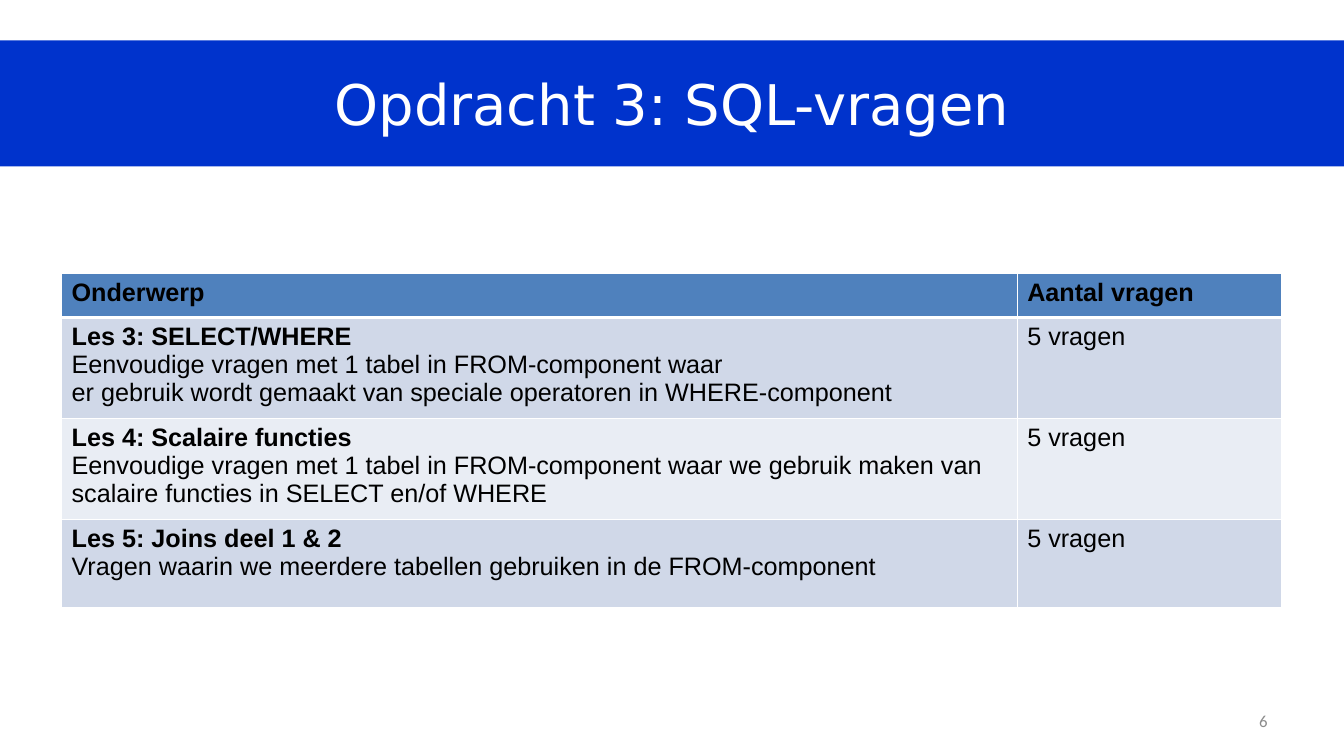
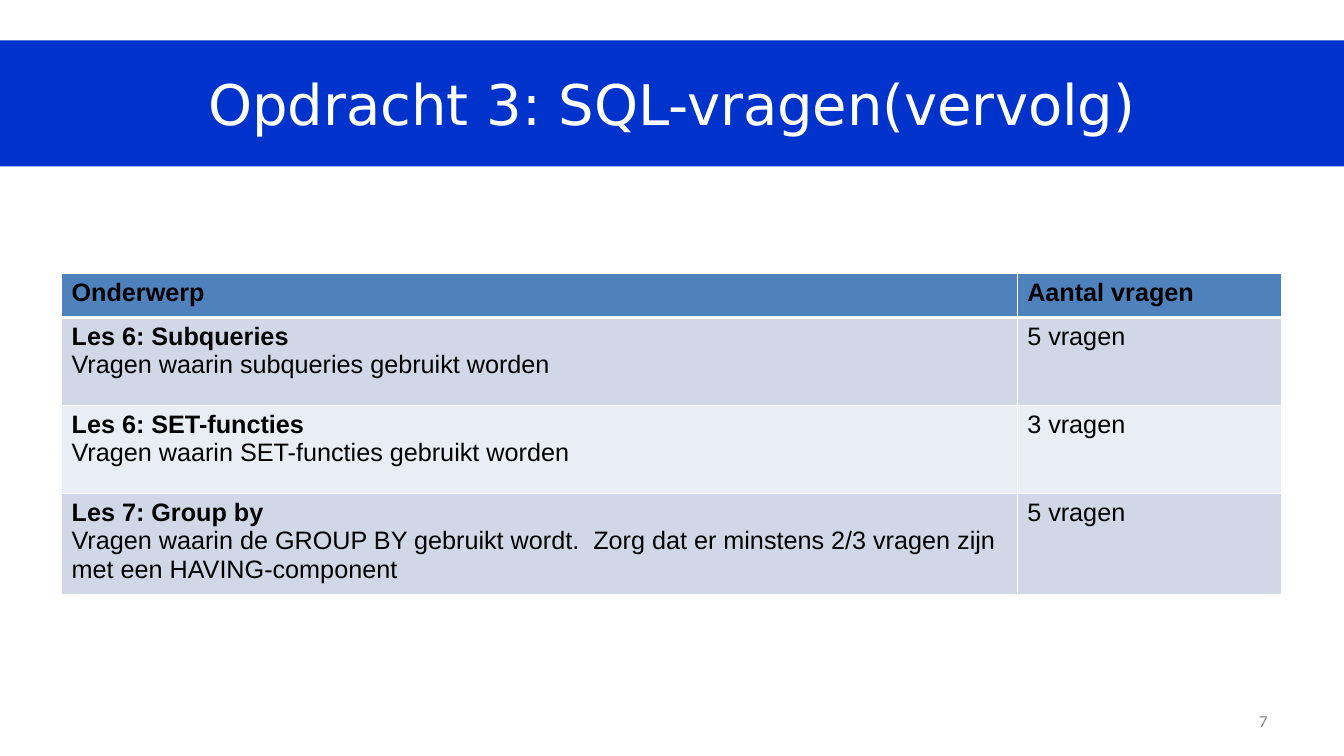
"""Build two slides that list the SQL questions of assignment 3."""
from dataclasses import dataclass

from lxml.etree import SubElement
from pptx import Presentation
from pptx.dml.color import RGBColor
from pptx.enum.text import MSO_ANCHOR, PP_ALIGN
from pptx.oxml.ns import qn
from pptx.presentation import Presentation as Deck
from pptx.slide import Slide
from pptx.table import _Cell
from pptx.text.text import _Paragraph
from pptx.util import Pt

BLUE = RGBColor(0x00, 0x33, 0xCC)
WHITE = RGBColor(0xFF, 0xFF, 0xFF)
BLACK = RGBColor(0x00, 0x00, 0x00)
GREY = RGBColor(0x8C, 0x8C, 0x8C)
HEADER = RGBColor(0x4F, 0x81, 0xBD)
BANDS = (RGBColor(0xD0, 0xD8, 0xE8), RGBColor(0xE9, 0xED, 0xF4))

WIDTH, HEIGHT = 960, 540
COLUMNS = (682.6, 189.2)
HEADER_HEIGHT, ROW_HEIGHT = 31.5, 62.9
THIN, THICK = 1, 3
HEADINGS = ("Onderwerp", "Aantal vragen")


@dataclass(frozen=True)
class Lesson:
    heading: str
    lines: tuple[str, ...]
    count: str


@dataclass(frozen=True)
class Page:
    number: int
    title: str
    lessons: tuple[Lesson, ...]


PAGES = (
    Page(6, "Opdracht 3: SQL-vragen", (
        Lesson("Les 3: SELECT/WHERE",
               ("Eenvoudige vragen met 1 tabel in FROM-component waar",
                "er gebruik wordt gemaakt van speciale operatoren in WHERE-component"),
               "5 vragen"),
        Lesson("Les 4: Scalaire functies",
               ("Eenvoudige vragen met 1 tabel in FROM-component waar we gebruik maken van "
                "scalaire functies in SELECT en/of WHERE",),
               "5 vragen"),
        Lesson("Les 5: Joins deel 1 & 2",
               ("Vragen waarin we meerdere tabellen gebruiken in de FROM-component",),
               "5 vragen"),
    )),
    Page(7, "Opdracht 3: SQL-vragen(vervolg)", (
        Lesson("Les 6: Subqueries", ("Vragen waarin subqueries gebruikt worden",), "5 vragen"),
        Lesson("Les 6: SET-functies", ("Vragen waarin SET-functies gebruikt worden",), "3 vragen"),
        Lesson("Les 7: Group by",
               ("Vragen waarin de GROUP BY gebruikt wordt.  Zorg dat er minstens 2/3 vragen zijn "
                "met een HAVING-component",),
               "5 vragen"),
    )),
)


def set_font(p: _Paragraph, name: str, size: float, color: RGBColor) -> None:
    """Set the font that all runs of a paragraph share."""
    p.font.name = name
    p.font.size = Pt(size)
    p.font.color.rgb = color


def add_title(s: Slide, text: str) -> None:
    """Turn the title placeholder into the full-width blue band."""
    sp = s.shapes.title
    sp.left, sp.top, sp.width, sp.height = Pt(0), Pt(28.8), Pt(WIDTH), Pt(90)
    sp.fill.solid()
    sp.fill.fore_color.rgb = BLUE
    tf = sp.text_frame
    tf.text = text
    tf.vertical_anchor = MSO_ANCHOR.MIDDLE
    p = tf.paragraphs[0]
    p.alignment = PP_ALIGN.CENTER
    set_font(p, "DejaVu Sans", 40, WHITE)


def add_number(s: Slide, number: int) -> None:
    """Put the slide number at the lower right."""
    tf = s.shapes.add_textbox(Pt(688.5), Pt(500.5), Pt(224), Pt(28.8)).text_frame
    tf.word_wrap = True
    tf.vertical_anchor = MSO_ANCHOR.MIDDLE
    p = tf.paragraphs[0]
    p.text = str(number)
    p.alignment = PP_ALIGN.RIGHT
    set_font(p, "Calibri", 12, GREY)


def style_cell(cell: _Cell, fill: RGBColor, top: float, bottom: float) -> None:
    """Give a cell its white borders, fill and font."""
    tc_pr = cell._tc.get_or_add_tcPr()
    for tag, width in (("a:lnL", THIN), ("a:lnR", THIN), ("a:lnT", top), ("a:lnB", bottom)):
        line = SubElement(tc_pr, qn(tag), w=str(Pt(width)))
        SubElement(SubElement(line, qn("a:solidFill")), qn("a:srgbClr"), val=str(WHITE))
    cell.fill.solid()
    cell.fill.fore_color.rgb = fill
    set_font(cell.text_frame.paragraphs[0], "Arial", 18, BLACK)


def fill_lesson(p: _Paragraph, lesson: Lesson) -> None:
    """Write a bold heading with its description on the lines below."""
    r = p.add_run()
    r.text = lesson.heading
    r.font.bold = True
    for line in lesson.lines:
        p.add_line_break()
        r = p.add_run()
        r.text = line
        r.font.bold = False


def add_lessons(s: Slide, lessons: tuple[Lesson, ...]) -> None:
    """Add the table of lessons and question counts."""
    table = s.shapes.add_table(
        len(lessons) + 1, len(COLUMNS), Pt(44), Pt(195.4), Pt(sum(COLUMNS)),
        Pt(HEADER_HEIGHT + ROW_HEIGHT * len(lessons))).table
    for column, width in zip(table.columns, COLUMNS):
        column.width = Pt(width)
    for i, row in enumerate(table.rows):
        row.height = Pt(ROW_HEIGHT if i else HEADER_HEIGHT)
        fill = BANDS[(i - 1) % len(BANDS)] if i else HEADER
        for cell in row.cells:
            style_cell(cell, fill, THICK if i == 1 else THIN, THIN if i else THICK)
    for cell, heading in zip(table.rows[0].cells, HEADINGS):
        p = cell.text_frame.paragraphs[0]
        p.text = heading
        p.font.bold = True
    for i, lesson in enumerate(lessons, 1):
        fill_lesson(table.cell(i, 0).text_frame.paragraphs[0], lesson)
        p = table.cell(i, 1).text_frame.paragraphs[0]
        p.text = lesson.count
        p.font.bold = False


def add_page(prs: Deck, page: Page) -> None:
    """Add one slide with its title, number and table."""
    s = prs.slides.add_slide(prs.slide_layouts.get_by_name("Title Only"))
    add_number(s, page.number)
    add_title(s, page.title)
    add_lessons(s, page.lessons)


def main() -> None:
    """Build and save the presentation."""
    prs = Presentation()
    prs.slide_width, prs.slide_height = Pt(WIDTH), Pt(HEIGHT)
    for page in PAGES:
        add_page(prs, page)
    prs.save("out.pptx")


main()
